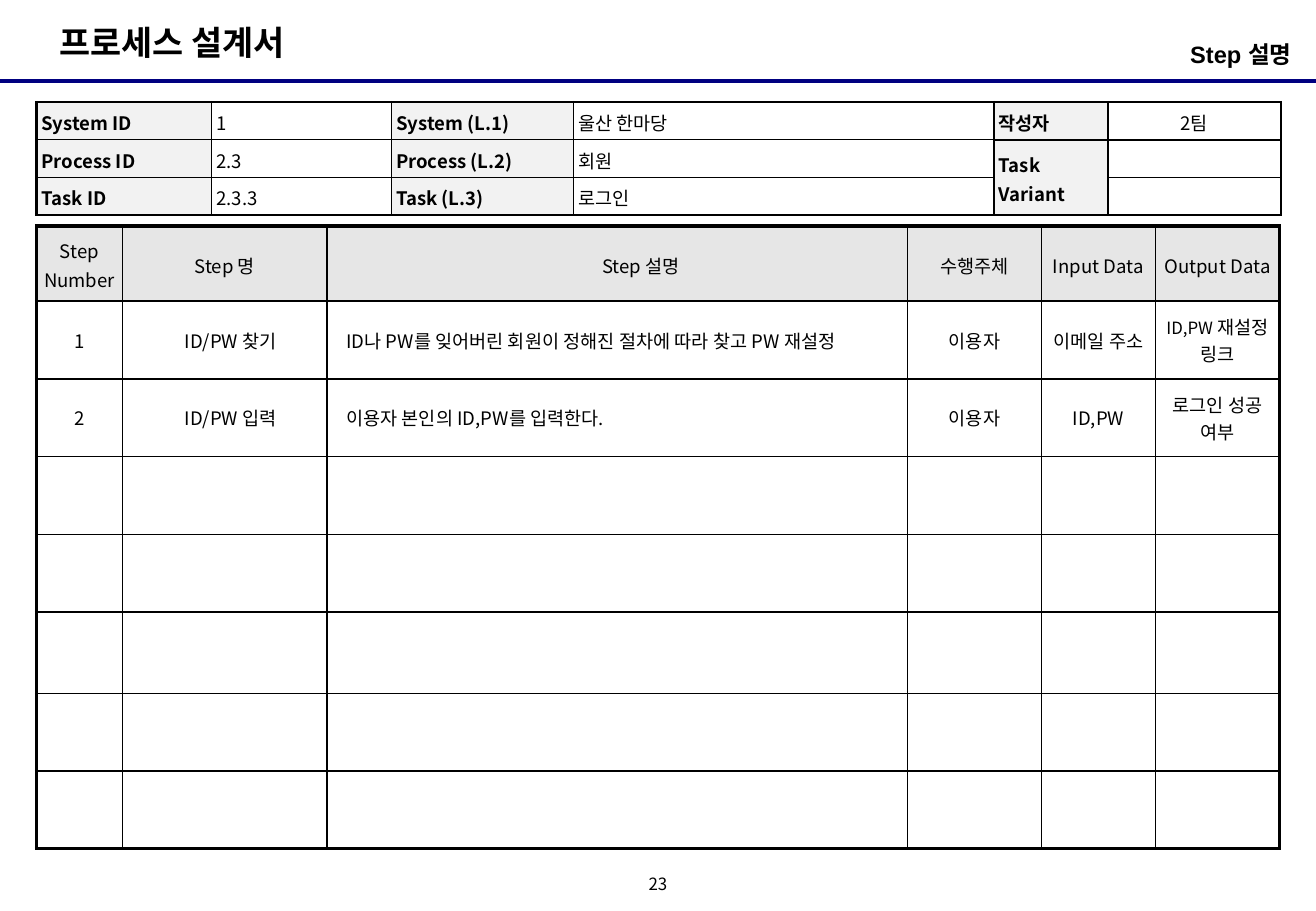
"""Build the step description page of a process design document."""
from dataclasses import dataclass

from lxml.etree import SubElement
from pptx import Presentation
from pptx.dml.color import RGBColor
from pptx.enum.shapes import MSO_CONNECTOR
from pptx.enum.text import MSO_ANCHOR, MSO_AUTO_SIZE, PP_ALIGN
from pptx.oxml.ns import qn
from pptx.util import Inches, Pt


@dataclass(frozen=True)
class Theme:
    ink: str = "000000"
    rule: str = "000080"
    label_fill: str = "F2F2F2"
    header_fill: str = "E6E6E6"
    korean_font: str = "Noto Sans CJK KR"
    latin_font: str = "Arial"
    title_size: int = 20
    subtitle_size: int = 14
    body_size: int = 11
    small_size: int = 10


theme = Theme()
UNIT = Inches(0.01)
SLIDE_COLUMNS, SLIDE_ROWS = 1083, 750
TABLE_LEFT = 30


def add_text(paragraph, text, size=theme.body_size, bold=False, latin=theme.korean_font):
    run = paragraph.add_run()
    run.text = text
    run.font.size = Pt(size)
    run.font.bold = bold
    run.font.name = latin
    run.font.color.rgb = RGBColor.from_string(theme.ink)
    SubElement(run.font._element, qn("a:ea"), typeface=theme.korean_font)


def add_grid(top, columns, rows, outer_width, inset, heavy=()):
    frame = slide.shapes.add_table(
        len(rows), len(columns), TABLE_LEFT * UNIT, top * UNIT, sum(columns) * UNIT, sum(rows) * UNIT)
    table = frame.table
    table.first_row = table.horz_banding = False
    for column, width in zip(table.columns, columns):
        column.width = width * UNIT
    for row, height in zip(table.rows, rows):
        row.height = height * UNIT
    for y in range(len(rows)):
        for x in range(len(columns)):
            cell = table.cell(y, x)
            cell.margin_left = cell.margin_right = inset
            cell.margin_top = cell.margin_bottom = Pt(2.5)
            outer = {"L": x == 0, "R": x == len(columns) - 1, "T": y == 0, "B": y == len(rows) - 1}
            for side, is_outer in outer.items():
                width = outer_width if is_outer or (y, x, side) in heavy else 1
                border = SubElement(cell._tc.get_or_add_tcPr(), qn(f"a:ln{side}"), w=str(Pt(width)))
                fill = SubElement(border, qn("a:solidFill"))
                SubElement(fill, qn("a:srgbClr"), val=theme.ink)
            cell.fill.background()
            SubElement(cell.text_frame.paragraphs[0]._p, qn("a:endParaRPr"), sz=str(theme.body_size * 100))
    return table


presentation = Presentation()
presentation.slide_width = SLIDE_COLUMNS * UNIT
presentation.slide_height = SLIDE_ROWS * UNIT
slide = presentation.slides.add_slide(presentation.slide_layouts[5])

rule = slide.shapes.add_connector(MSO_CONNECTOR.STRAIGHT, 0, 67 * UNIT, SLIDE_COLUMNS * UNIT, 67 * UNIT)
rule.line.color.rgb = RGBColor.from_string(theme.rule)
rule.line.width = Pt(2.25)
SubElement(rule._element.spPr, qn("a:effectLst"))

title = slide.shapes.title
title.left, title.top, title.width, title.height = (value * UNIT for value in (39, 13, 226, 44))
title.text_frame.auto_size = MSO_AUTO_SIZE.NONE
title.text_frame.word_wrap = False
title.text_frame.vertical_anchor = MSO_ANCHOR.TOP
title_paragraph = title.text_frame.paragraphs[0]
title_paragraph.alignment = PP_ALIGN.LEFT
add_text(title_paragraph, "프로세스 설계서", theme.title_size, True)

subtitle = slide.shapes.add_textbox(*(value * UNIT for value in (739, 28, 331, 39)))
subtitle.text_frame.word_wrap = True
subtitle.text_frame.margin_left = 0
subtitle.text_frame.margin_right = 7 * UNIT
subtitle_paragraph = subtitle.text_frame.paragraphs[0]
subtitle_paragraph.alignment = PP_ALIGN.RIGHT
add_text(subtitle_paragraph, "Step 설명", theme.subtitle_size, True, theme.latin_font)

overview_rows = [
    ["System ID", "1", "System (L.1)", "울산 한마당", "작성자", "2팀"],
    ["Process ID", "2.3", "Process (L.2)", "회원", "Task Variant", ""],
    ["Task ID", "2.3.3", "Task (L.3)", "로그인", "", ""],
]
author_edges = {(0, 4, "B"), (0, 5, "B"), (1, 4, "T"), (1, 5, "T"), (1, 4, "B")}
overview = add_grid(84, [144, 148, 150, 346, 94, 142], [31] * 3, 1.5, 4 * UNIT, author_edges)
overview.cell(1, 4).merge(overview.cell(2, 4))
for y, texts in enumerate(overview_rows):
    for x, text in enumerate(texts):
        cell = overview.cell(y, x)
        is_label = x % 2 == 0
        if is_label:
            cell.fill.solid()
            cell.fill.fore_color.rgb = RGBColor.from_string(theme.label_fill)
        if x >= 4:
            cell.vertical_anchor = MSO_ANCHOR.MIDDLE
        if text:
            paragraph = cell.text_frame.paragraphs[0]
            paragraph.line_spacing = 1.1
            paragraph.alignment = PP_ALIGN.CENTER if x == 5 else PP_ALIGN.LEFT
            add_text(paragraph, text, bold=is_label)

step_rows = [
    ["Step Number", "Step 명", "Step 설명", "수행주체", "Input Data", "Output Data"],
    ["1", "ID/PW 찾기", "ID나 PW를 잊어버린 회원이 정해진 절차에 따라 찾고 PW 재설정",
     "이용자", "이메일 주소", [("ID,PW", theme.small_size), (" 재설정 링크", theme.body_size)]],
    ["2", "ID/PW 입력", "이용자 본인의 ID,PW를 입력한다.", "이용자", "ID,PW", "로그인 성공 여부"],
]
steps = add_grid(186, [71, 168, 478, 110, 94, 102], [62, 64, 64, 64, 64, 67, 64, 64], 2.25, 6 * UNIT)
for y, texts in enumerate(step_rows):
    for x, text in enumerate(texts):
        cell = steps.cell(y, x)
        cell.vertical_anchor = MSO_ANCHOR.MIDDLE
        paragraph = cell.text_frame.paragraphs[0]
        paragraph.alignment = PP_ALIGN.LEFT if y and x == 2 else PP_ALIGN.CENTER
        indent = 10 if y and x in (1, 2) else 39 if x == 2 else 0
        paragraph._p.get_or_add_pPr().set("marL", str(indent * UNIT))
        if y == 0:
            paragraph.line_spacing = 1.1
            cell.fill.solid()
            cell.fill.fore_color.rgb = RGBColor.from_string(theme.header_fill)
        for part, size in [(text, theme.body_size)] if isinstance(text, str) else text:
            add_text(paragraph, part, size)

page_number = slide.shapes.add_textbox(*(value * UNIT for value in (525, 717, 33, 25)))
page_frame = page_number.text_frame
page_frame.word_wrap = False
page_frame.margin_left = page_frame.margin_right = page_frame.margin_top = page_frame.margin_bottom = 0
page_frame.vertical_anchor = MSO_ANCHOR.MIDDLE
page_paragraph = page_frame.paragraphs[0]
page_paragraph.alignment = PP_ALIGN.CENTER
page_paragraph.line_spacing = 0.8
add_text(page_paragraph, "23", theme.small_size)

presentation.save("out.pptx")
